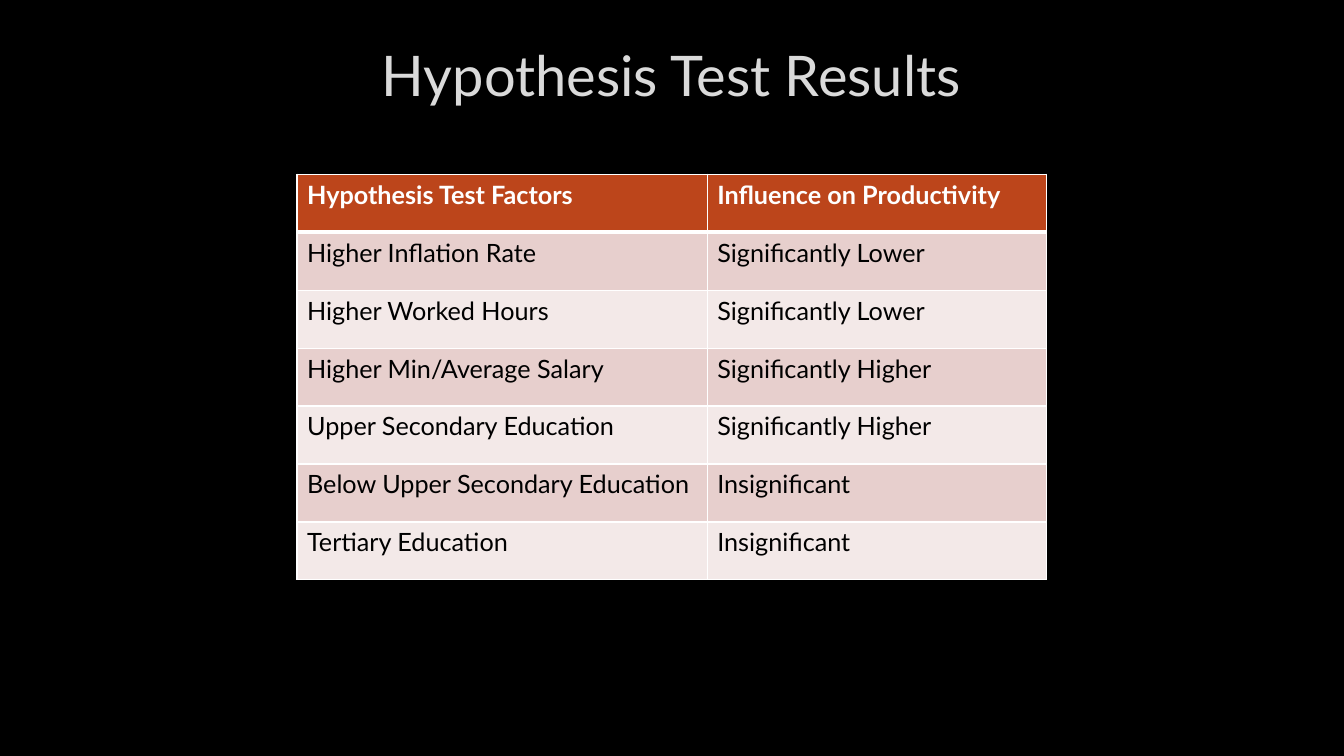
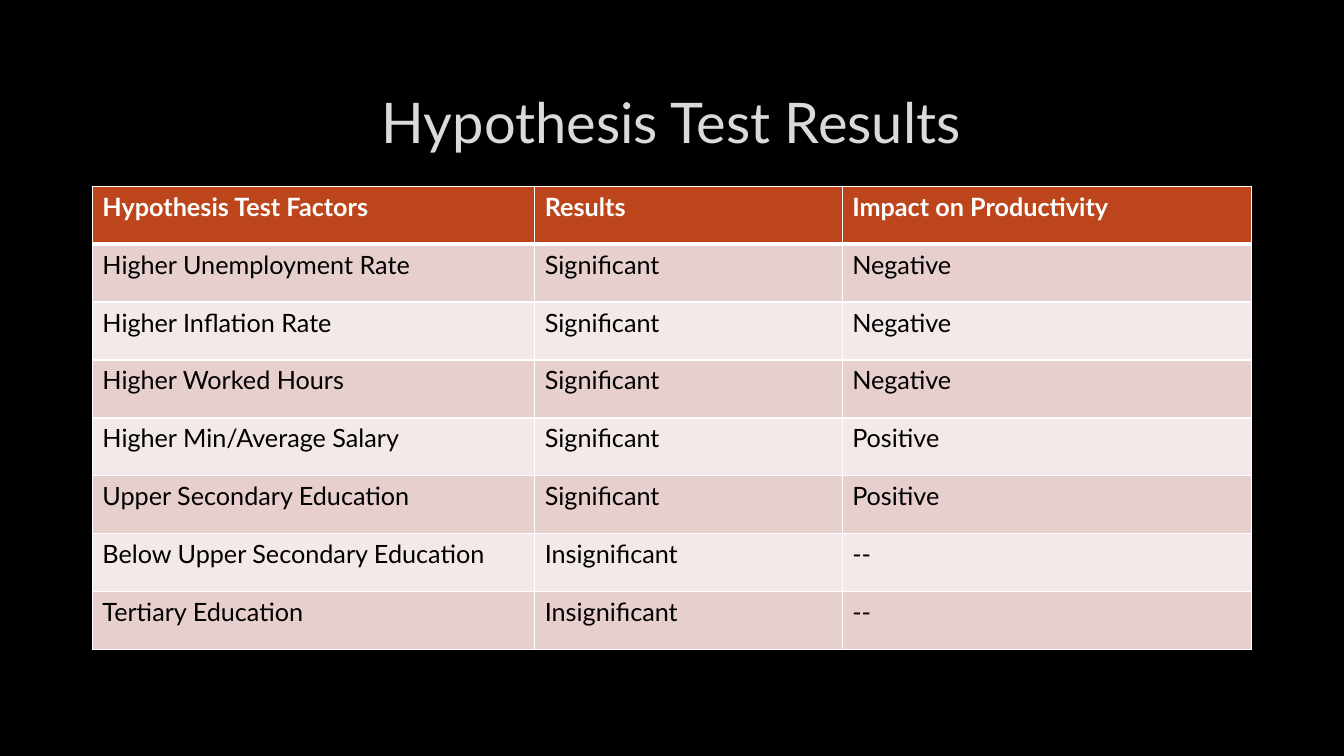
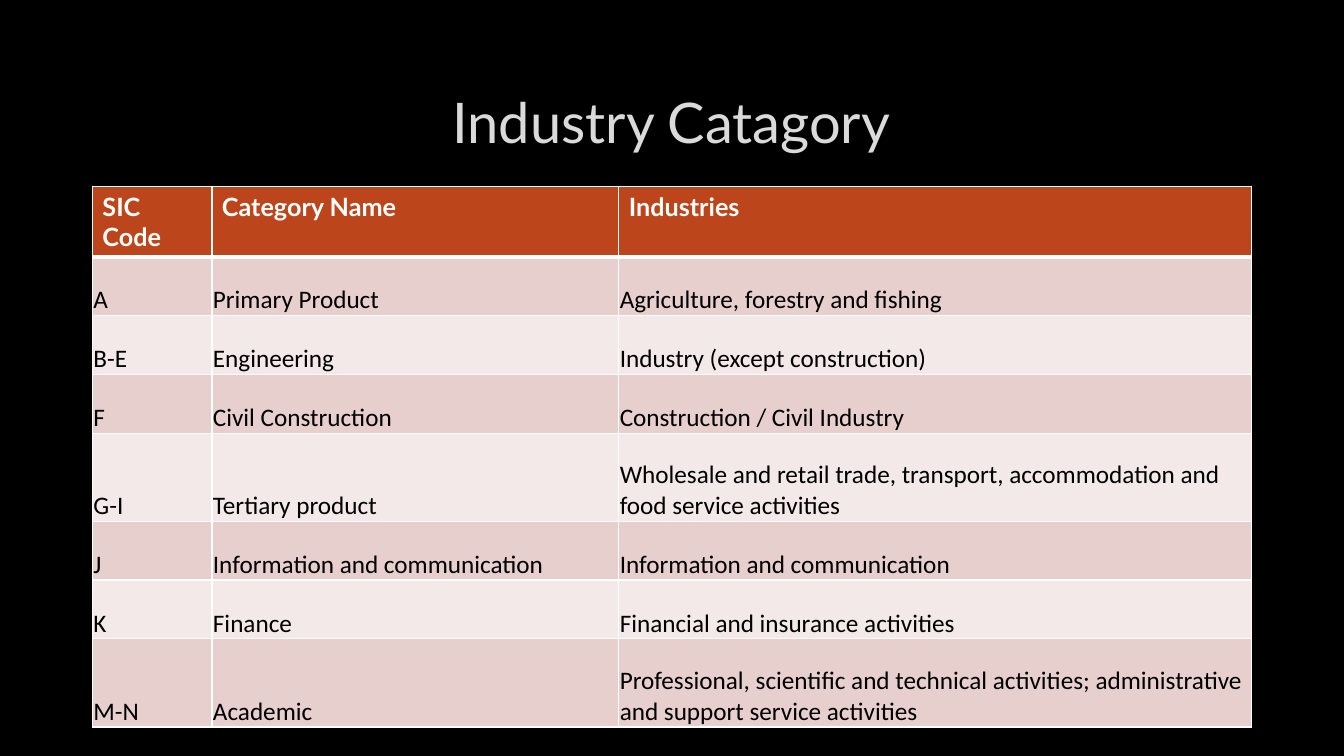
from dataclasses import dataclass

from lxml import etree
from pptx import Presentation
from pptx.dml.color import RGBColor
from pptx.enum.text import MSO_ANCHOR, PP_ALIGN
from pptx.oxml.ns import qn
from pptx.slide import Slide
from pptx.table import _Cell
from pptx.util import Pt

CENTER = PP_ALIGN.CENTER
TOP, MIDDLE, BOTTOM = MSO_ANCHOR.TOP, MSO_ANCHOR.MIDDLE, MSO_ANCHOR.BOTTOM
SLIDE_WIDTH, SLIDE_HEIGHT = 960, 540


@dataclass(frozen=True)
class Theme:
    background: str = "000000"
    title: str = "DADADA"
    title_outline: str = "404040"
    header_fill: str = "BC451B"
    header_text: str = "FFFFFF"
    body_text: str = "000000"
    bands: tuple[str, str] = ("E7CFCD", "F3E9E8")
    border: str = "FFFFFF"
    font: str = "Lato"
    title_size: float = 40
    table_size: float = 18
    thin: float = 1
    thick: float = 3


@dataclass(frozen=True)
class BodyStyle:
    font: str
    anchor: MSO_ANCHOR
    insets: tuple[float, float, float, float]  # left, top, right, bottom


@dataclass(frozen=True)
class TableSlide:
    title: str
    title_top: float
    table_top: float
    columns: tuple[float, ...]
    rows: tuple[tuple[str, ...], ...]
    body: BodyStyle
    row_height: float = 41.4
    tall_height: float = 63
    tall_rows: tuple[int, ...] = ()


THEME = Theme()
CELL_INSETS = (7.2, 3.6, 7.2, 3.6)
STANDARD = BodyStyle(THEME.font, TOP, CELL_INSETS)
COMPACT = BodyStyle("Calibri", BOTTOM, (0.75, 0.75, 0.75, 0))

SLIDES = (
    TableSlide(
        "Hypothesis Test Results", 15, 124.5, (293, 242.6),
        (
            ("Hypothesis Test Factors", "Influence on Productivity"),
            ("Higher Inflation Rate", "Significantly Lower"),
            ("Higher Worked Hours", "Significantly Lower"),
            ("Higher Min/Average Salary", "Significantly Higher"),
            ("Upper Secondary Education", "Significantly Higher"),
            ("Below Upper Secondary Education", "Insignificant"),
            ("Tertiary Education", "Insignificant"),
        ),
        STANDARD,
    ),
    TableSlide(
        "Hypothesis Test Results", 48.5, 133, (316, 219.6, 292.4),
        (
            ("Hypothesis Test Factors", "Results", "Impact on Productivity"),
            ("Higher Unemployment Rate", "Significant", "Negative"),
            ("Higher Inflation Rate", "Significant", "Negative"),
            ("Higher Worked Hours", "Significant", "Negative"),
            ("Higher Min/Average Salary", "Significant", "Positive"),
            ("Upper Secondary Education", "Significant", "Positive"),
            ("Below Upper Secondary Education", "Insignificant", "--"),
            ("Tertiary Education", "Insignificant", "--"),
        ),
        STANDARD,
    ),
    TableSlide(
        "Industry Catagory", 48.5, 133, (85.4, 290.6, 452),
        (
            ("SIC Code", "Category Name", "Industries"),
            ("A", "Primary Product", "Agriculture, forestry and fishing"),
            ("B-E", "Engineering", "Industry (except construction)"),
            ("F", "Civil Construction", "Construction / Civil Industry"),
            ("G-I", "Tertiary product",
             "Wholesale and retail trade, transport, accommodation and food service activities"),
            ("J", "Information and communication", "Information and communication"),
            ("K", "Finance", "Financial and insurance activities"),
            ("M-N", "Academic",
             "Professional, scientific and technical activities; "
             "administrative and support service activities"),
        ),
        COMPACT, row_height=42, tall_rows=(4, 7),
    ),
)


def make_line(tag: str, width: float, color: str, alpha: int = 100) -> etree._Element:
    line = etree.Element(qn(tag), w=str(Pt(width)))
    fill = etree.SubElement(line, qn("a:solidFill"))
    rgb = etree.SubElement(fill, qn("a:srgbClr"), val=color)
    if alpha < 100:
        etree.SubElement(rgb, qn("a:alpha"), val=str(alpha * 1000))
    return line


def add_title(page: Slide, text: str, top: float) -> None:
    box = page.shapes.add_textbox(Pt(72), Pt(top), Pt(815), Pt(76.5))
    frame = box.text_frame
    frame.word_wrap = True
    frame.vertical_anchor = MIDDLE
    para = frame.paragraphs[0]
    para.text = text
    para.alignment = CENTER
    para.font.name = THEME.font
    para.font.size = Pt(THEME.title_size)
    para.font.color.rgb = RGBColor.from_string(THEME.title)
    for properties in box.element.iter(qn("a:defRPr")):
        properties.insert(0, make_line("a:ln", 0.75, THEME.title_outline, alpha=10))


def add_borders(cell: _Cell, row: int) -> None:
    """Draw thin borders, with a thick rule between the header and the body."""
    top = THEME.thick if row == 1 else THEME.thin
    bottom = THEME.thick if row == 0 else THEME.thin
    widths = {"a:lnL": THEME.thin, "a:lnR": THEME.thin, "a:lnT": top, "a:lnB": bottom}
    properties = cell._tc.get_or_add_tcPr()
    for position, (tag, width) in enumerate(widths.items()):
        properties.insert(position, make_line(tag, width, THEME.border))


def fill_cell(cell: _Cell, text: str, row: int, body: BodyStyle) -> None:
    is_header = row == 0
    style = STANDARD if is_header else body
    cell.fill.solid()
    fill = THEME.header_fill if is_header else THEME.bands[(row - 1) % 2]
    cell.fill.fore_color.rgb = RGBColor.from_string(fill)
    cell.vertical_anchor = style.anchor
    (cell.margin_left, cell.margin_top,
     cell.margin_right, cell.margin_bottom) = map(Pt, style.insets)
    para = cell.text_frame.paragraphs[0]
    para.text = text
    para.font.name = style.font
    para.font.size = Pt(THEME.table_size)
    para.font.bold = is_header
    color = THEME.header_text if is_header else THEME.body_text
    para.font.color.rgb = RGBColor.from_string(color)
    add_borders(cell, row)


def add_result_table(page: Slide, content: TableSlide) -> None:
    """Draw the table, centred across the slide."""
    heights = [content.tall_height if row in content.tall_rows else content.row_height
               for row in range(len(content.rows))]
    width = sum(content.columns)
    table = page.shapes.add_table(
        len(heights), len(content.columns), Pt((SLIDE_WIDTH - width) / 2),
        Pt(content.table_top), Pt(width), Pt(sum(heights))).table
    table.horz_banding = False
    for column, column_width in zip(table.columns, content.columns):
        column.width = Pt(column_width)
    for row, (height, texts) in enumerate(zip(heights, content.rows)):
        table.rows[row].height = Pt(height)
        for column, text in enumerate(texts):
            fill_cell(table.cell(row, column), text, row, content.body)


def main() -> None:
    deck = Presentation()
    deck.slide_width, deck.slide_height = Pt(SLIDE_WIDTH), Pt(SLIDE_HEIGHT)
    blank = deck.slide_layouts[6]
    for content in SLIDES:
        page = deck.slides.add_slide(blank)
        page.background.fill.solid()
        page.background.fill.fore_color.rgb = RGBColor.from_string(THEME.background)
        add_title(page, content.title, content.title_top)
        add_result_table(page, content)
    deck.save("out.pptx")


if __name__ == "__main__":
    main()
